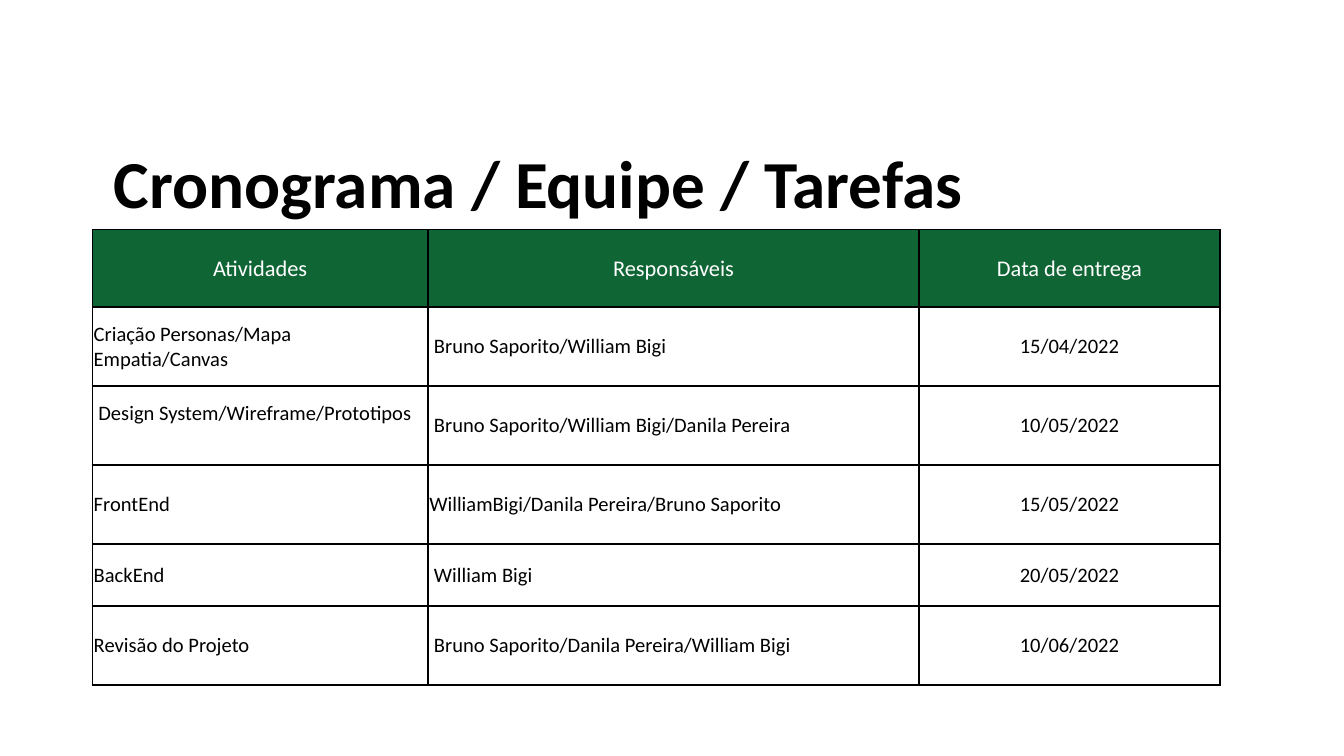
from dataclasses import dataclass

from lxml.etree import SubElement
from pptx import Presentation
from pptx.dml.color import RGBColor
from pptx.enum.text import MSO_ANCHOR, PP_ALIGN
from pptx.oxml.ns import qn
from pptx.slide import Slide
from pptx.table import _Cell
from pptx.text.text import _Paragraph
from pptx.util import Pt

BLACK = RGBColor(0x00, 0x00, 0x00)
WHITE = RGBColor(0xFF, 0xFF, 0xFF)
GREEN = RGBColor(0x10, 0x65, 0x34)
FONT = "Calibri"
INSET = 0.72
INDENT = 2.5
LINE_HEIGHT = 13.4
COLUMN_WIDTHS = (179.8, 263.2, 161)
HEADERS = ("Atividades", "Responsáveis", "Data de entrega")


@dataclass(frozen=True)
class Task:
    activity: str
    team: str
    due: str
    height: float = 42.3
    activity_indent: float = 0
    team_indent: float = INDENT
    activity_space_below: float = 0


TASKS = (
    Task("Criação Personas/Mapa Empatia/Canvas", "Bruno Saporito/William Bigi", "15/04/2022"),
    Task("Design System/Wireframe/Prototipos", "Bruno Saporito/William Bigi/Danila Pereira",
         "10/05/2022", activity_indent=INDENT, activity_space_below=LINE_HEIGHT),
    Task("FrontEnd", "WilliamBigi/Danila Pereira/Bruno Saporito", "15/05/2022", team_indent=0),
    Task("BackEnd", "William Bigi", "20/05/2022", height=33.3),
    Task("Revisão do Projeto", "Bruno Saporito/Danila Pereira/William Bigi", "10/06/2022"),
)


def format_runs(paragraph: _Paragraph, size: float, color: RGBColor, bold: bool = False) -> None:
    for run in paragraph.runs:
        run.font.name = FONT
        run.font.size = Pt(size)
        run.font.bold = bold
        run.font.color.rgb = color


def add_borders(cell: _Cell) -> None:
    properties = cell._tc.get_or_add_tcPr()
    for side in ("a:lnL", "a:lnR", "a:lnT", "a:lnB"):
        line = SubElement(properties, qn(side), w=str(Pt(1)))
        fill = SubElement(line, qn("a:solidFill"))
        SubElement(fill, qn("a:srgbClr"), val=str(BLACK))


def fill_cell(cell: _Cell, text: str, size: float = 11, color: RGBColor = BLACK,
              centered: bool = True, indent: float = 0, space_below: float = 0) -> None:
    add_borders(cell)
    cell.vertical_anchor = MSO_ANCHOR.MIDDLE
    cell.margin_left = Pt(INSET + indent)
    cell.margin_right = cell.margin_top = Pt(INSET)
    cell.margin_bottom = Pt(INSET + space_below)
    cell.text_frame.text = text
    paragraph = cell.text_frame.paragraphs[0]
    paragraph.alignment = PP_ALIGN.CENTER if centered else PP_ALIGN.LEFT
    format_runs(paragraph, size, color)


def add_title(slide: Slide, text: str) -> None:
    title = slide.shapes.add_textbox(Pt(54), Pt(72), Pt(629.3), Pt(51))
    title.text_frame.word_wrap = True
    title.text_frame.text = text
    format_runs(title.text_frame.paragraphs[0], 36, BLACK, bold=True)


def add_schedule(slide: Slide) -> None:
    heights = (41.6, *(task.height for task in TASKS))
    table = slide.shapes.add_table(len(heights), len(COLUMN_WIDTHS), Pt(49.5), Pt(123),
                                   Pt(sum(COLUMN_WIDTHS)), Pt(sum(heights))).table
    table.first_row = table.horz_banding = False
    for column, width in zip(table.columns, COLUMN_WIDTHS):
        column.width = Pt(width)
    for row, height in zip(table.rows, heights):
        row.height = Pt(height)

    # Header row
    for column_index, header in enumerate(HEADERS):
        cell = table.cell(0, column_index)
        fill_cell(cell, header, size=12, color=WHITE)
        cell.fill.solid()
        cell.fill.fore_color.rgb = GREEN

    # Task rows
    for row_index, task in enumerate(TASKS, start=1):
        activity, team, due = (table.cell(row_index, column) for column in range(3))
        fill_cell(activity, task.activity, centered=False, indent=task.activity_indent,
                  space_below=task.activity_space_below)
        fill_cell(team, task.team, centered=False, indent=task.team_indent)
        fill_cell(due, task.due)
        for cell in (activity, team, due):
            cell.fill.background()


def main() -> None:
    presentation = Presentation()
    presentation.slide_width = Pt(720)
    presentation.slide_height = Pt(405)
    slide = presentation.slides.add_slide(presentation.slide_layouts[6])
    add_title(slide, "Cronograma / Equipe / Tarefas")
    add_schedule(slide)
    presentation.save("out.pptx")


if __name__ == "__main__":
    main()
